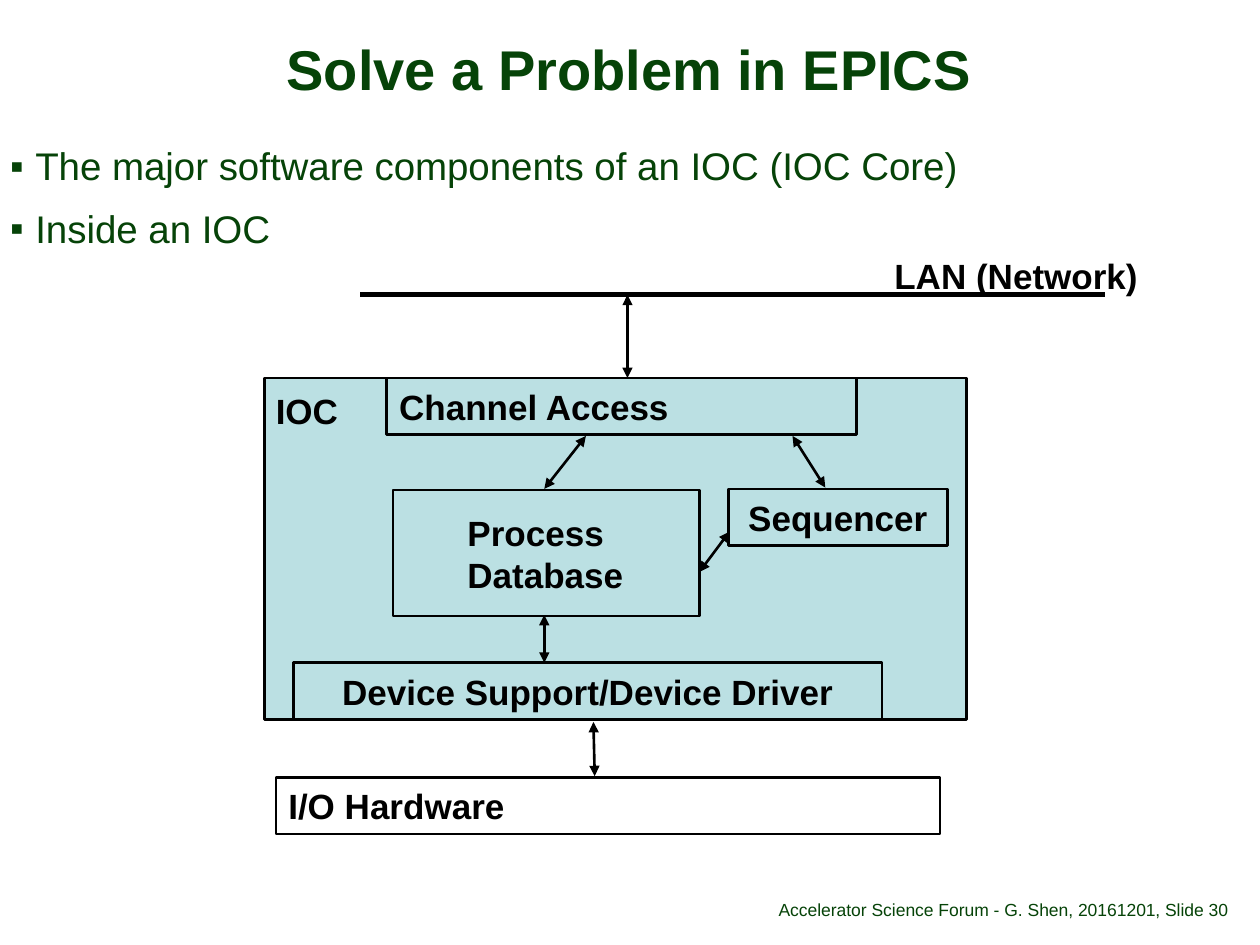
from lxml import etree
from pptx import Presentation
from pptx.dml.color import RGBColor
from pptx.enum.shapes import MSO_CONNECTOR, MSO_SHAPE
from pptx.enum.text import MSO_ANCHOR, MSO_AUTO_SIZE, PP_ALIGN
from pptx.oxml.ns import qn
from pptx.util import Inches, Pt

LEFT, CENTER, RIGHT = PP_ALIGN.LEFT, PP_ALIGN.CENTER, PP_ALIGN.RIGHT
TOP, MIDDLE, BOTTOM = MSO_ANCHOR.TOP, MSO_ANCHOR.MIDDLE, MSO_ANCHOR.BOTTOM
GREEN, BLACK, BLUE = "064308", "000000", "BBE0E3"
FONT = "Arial"
TEXT_INSETS = (0.1, 0.05, 0.1, 0.05)

TITLE = "Solve a Problem in EPICS"
BULLETS = ["The major software components of an IOC (IOC Core)", "Inside an IOC"]
FOOTER = [  # text, place, alignment
    ("Accelerator Science Forum - G. Shen, 20161201", (4.53, 6.95, 4.64, 0.4), RIGHT),
    (", Slide 30", (9.17, 6.95, 0.83, 0.4), LEFT),
]

IOC_FRAME = (2.1, 3, 5.57, 2.71)
NETWORK_LINE = ((2.86, 2.34), (8.77, 2.34))
COMPONENTS = [  # text, place, fill, alignment, insets
    ("Sequencer", (5.78, 3.88, 1.74, 0.45), BLUE, CENTER, TEXT_INSETS),
    ("Device Support/Device Driver", (2.33, 5.26, 4.67, 0.45), None, CENTER, TEXT_INSETS),
    ("I/O Hardware", (2.19, 6.17, 5.27, 0.45), None, LEFT, TEXT_INSETS),
    ("Process Database", (3.12, 3.89, 2.43, 1), BLUE, LEFT, (0.59, 0.05, 0.5, 0.05)),
    ("Channel Access", (3.07, 3, 3.73, 0.45), BLUE, LEFT, TEXT_INSETS),
]
LABELS = [  # text, place
    ("LAN (Network)", (7, 1.97, 2.13, 0.43)),
    ("IOC", (2.09, 3.04, 0.91, 0.43)),
]
ARROWS = [  # from, to
    ((5.55, 4.54), (5.79, 4.22)),
    ((4.98, 2.34), (4.98, 3)),
    ((4.65, 3.46), (4.32, 3.88)),
    ((6.29, 3.46), (6.55, 3.87)),
    ((4.32, 4.88), (4.32, 5.26)),
    ((4.71, 5.73), (4.72, 6.16)),
]


def color(value):
    return RGBColor.from_string(value)


def place_shape(shape, place):
    shape.left, shape.top, shape.width, shape.height = map(Inches, place)


def format_frame(frame, anchor, insets):
    frame.word_wrap = True
    frame.auto_size = MSO_AUTO_SIZE.NONE
    frame.vertical_anchor = anchor
    (frame.margin_left, frame.margin_top,
     frame.margin_right, frame.margin_bottom) = map(Inches, insets)


def write(paragraph, text, size, value, bold=False, align=LEFT, spacing=1.0):
    paragraph.alignment = align
    paragraph.line_spacing = spacing
    paragraph.space_before = Pt(0)
    run = paragraph.add_run()
    run.text = text
    run.font.name = FONT
    run.font.size = Pt(size)
    run.font.bold = bold
    run.font.color.rgb = color(value)


def add_bullet(paragraph):
    properties = paragraph._p.get_or_add_pPr()
    properties.set("marL", str(Inches(0.2)))
    properties.set("indent", str(-Inches(0.2)))
    etree.SubElement(properties, qn("a:buFont"), typeface=FONT)
    etree.SubElement(properties, qn("a:buChar"), char="▪")


def add_text(slide, text, place, anchor, insets, size, value, **style):
    box = slide.shapes.add_textbox(*map(Inches, place))
    format_frame(box.text_frame, anchor, insets)
    write(box.text_frame.paragraphs[0], text, size, value, **style)


def add_box(slide, place, fill):
    shape = slide.shapes.add_shape(MSO_SHAPE.RECTANGLE, *map(Inches, place))
    shape.shadow.inherit = False
    if fill:
        shape.fill.solid()
        shape.fill.fore_color.rgb = color(fill)
    else:
        shape.fill.background()
    shape.line.color.rgb = color(BLACK)
    shape.line.width = Pt(1.5)
    return shape


def add_line(slide, start, end, width, arrows=False):
    points = map(Inches, (*start, *end))
    line = slide.shapes.add_connector(MSO_CONNECTOR.STRAIGHT, *points)
    line.line.color.rgb = color(BLACK)
    line.line.width = Pt(width)
    if arrows:
        outline = line.line._get_or_add_ln()
        for tag in ("a:headEnd", "a:tailEnd"):
            etree.SubElement(outline, qn(tag), type="triangle")
    etree.SubElement(line._element.spPr, qn("a:effectLst"))


def add_title_and_bullets(slide):
    title, body = slide.placeholders
    place_shape(title, (0.08, 0.31, 9.83, 0.53))
    format_frame(title.text_frame, MIDDLE, (0.06, 0.02, 0.06, 0.02))
    write(title.text_frame.paragraphs[0], TITLE, 32, GREEN,
          bold=True, align=CENTER, spacing=0.88)

    place_shape(body, (0.08, 1.17, 9.83, 5.5))
    frame = body.text_frame
    format_frame(frame, TOP, (0, 0, 0, 0))
    for index, text in enumerate(BULLETS):
        paragraph = frame.add_paragraph() if index else frame.paragraphs[0]
        add_bullet(paragraph)
        write(paragraph, text, 22, GREEN, spacing=0.9)
        if index:
            paragraph.space_before = Pt(12.1)


def add_diagram(slide):
    add_box(slide, IOC_FRAME, BLUE)
    add_line(slide, *NETWORK_LINE, 3)
    for start, end in ARROWS:
        add_line(slide, start, end, 1.5, arrows=True)
    for text, place, fill, align, insets in COMPONENTS:
        frame = add_box(slide, place, fill).text_frame
        format_frame(frame, MIDDLE, insets)
        write(frame.paragraphs[0], text, 20, BLACK, bold=True, align=align)
    for text, place in LABELS:
        add_text(slide, text, place, MIDDLE, TEXT_INSETS, 20, BLACK, bold=True)


def main():
    presentation = Presentation()
    presentation.slide_width, presentation.slide_height = Inches(10), Inches(7.5)
    slide = presentation.slides.add_slide(presentation.slide_layouts[1])
    add_title_and_bullets(slide)
    for text, place, align in FOOTER:
        add_text(slide, text, place, BOTTOM, (0, 0.05, 0, 0.05), 10, GREEN,
                 align=align, spacing=0.9)
    add_diagram(slide)
    presentation.save("out.pptx")


if __name__ == "__main__":
    main()
